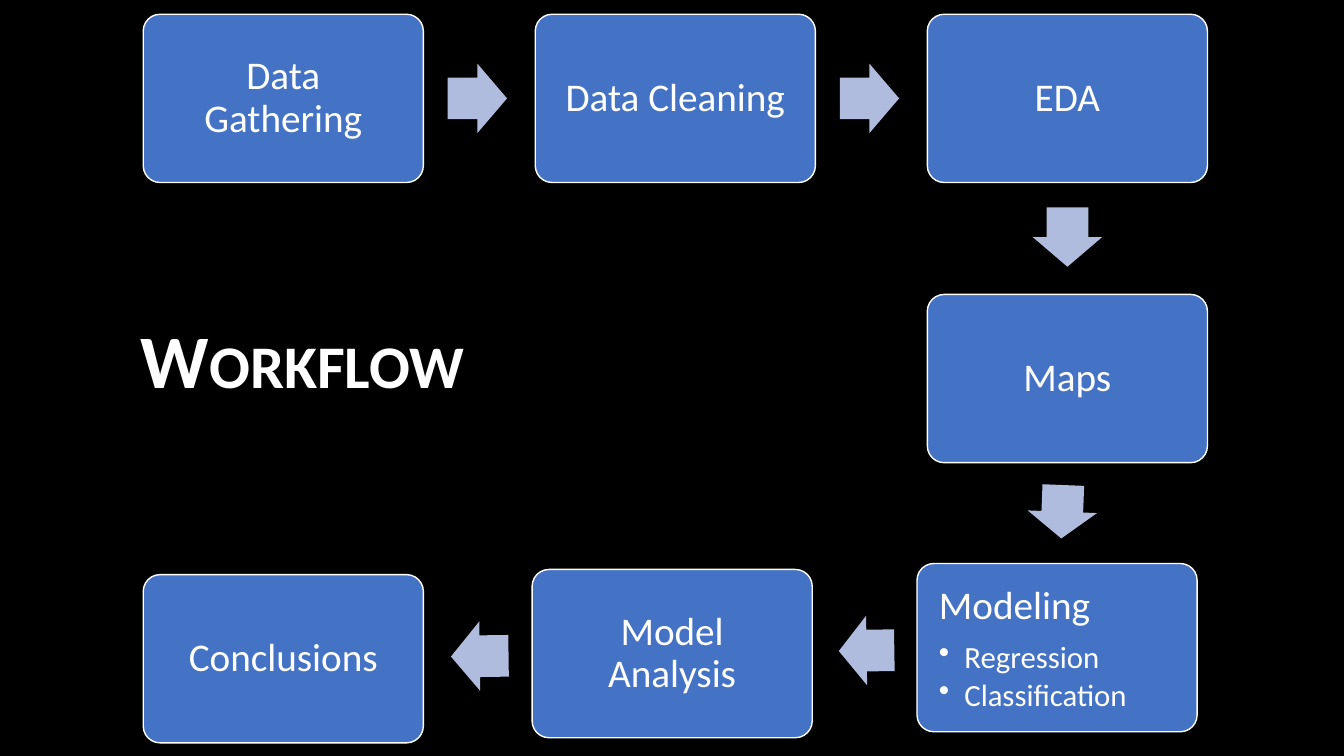
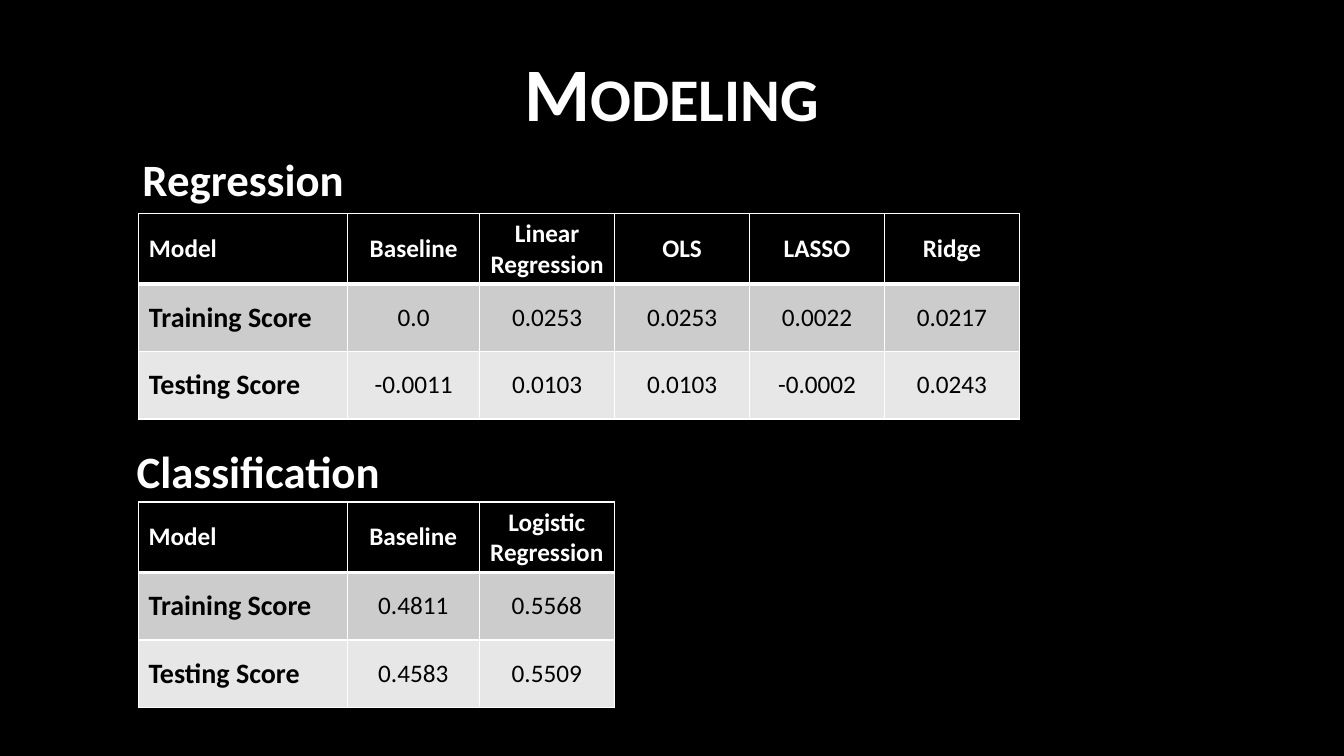
import math

from lxml import etree
from pptx import Presentation
from pptx import util as u
from pptx.dml import color
from pptx.enum import shapes, text
from pptx.oxml import ns

FONT = "Calibri"
BLACK, WHITE = "000000", "FFFFFF"
BOX_BLUE, ARROW_BLUE = "4472C4", "B0BCDE"
ROW_FILLS = (BLACK, "CCCCCC", "E7E7E7")

CENTER, LEFT = text.PP_ALIGN.CENTER, text.PP_ALIGN.LEFT
MIDDLE, TOP, BOTTOM = (text.MSO_ANCHOR.MIDDLE, text.MSO_ANCHOR.TOP,
                       text.MSO_ANCHOR.BOTTOM)

TITLE = {"size": u.Pt(54), "bold": True}
HEADING = {"size": u.Pt(32), "bold": True}
STEP = {"size": u.Pt(28)}
DETAIL = {"size": u.Pt(22)}
HEADER_CELL = {"size": u.Pt(18), "bold": True}
LABEL_CELL = {"size": u.Pt(20), "bold": True}
VALUE_CELL = {"size": u.Pt(18), "bold": False}

BOX_WIDTH, BOX_HEIGHT, BOX_INSET = 7.06, 4.24, 0.43
COLUMN_X = [3.61 + 9.88 * column for column in range(3)]
ROW_Y = [0.36 + 7.06 * row for row in range(3)]
ARROW_HEIGHT, ARROW_SHARE = 1.75, 0.53
BULLET_INDENT = 0.64

LABEL_WIDTH, BASELINE_WIDTH, MODEL_WIDTH = 5.26, 3.33, 3.4
ROW_HEIGHT = 1.7

WORKFLOW = [
    ("Data Gathering", COLUMN_X[0], ROW_Y[0], []),
    ("Data Cleaning", COLUMN_X[1], ROW_Y[0], []),
    ("EDA", COLUMN_X[2], ROW_Y[0], []),
    ("Maps", COLUMN_X[2], ROW_Y[1], []),
    ("Modeling", 23.11, 14.2, ["Regression", "Classification"]),
    ("Model Analysis", 13.41, 14.35, []),
    ("Conclusions", COLUMN_X[0], ROW_Y[2], []),
]

REGRESSION_SCORES = [
    ["Model", "Baseline", "Linear Regression", "OLS", "LASSO", "Ridge"],
    ["Training Score", "0.0", "0.0253", "0.0253", "0.0022", "0.0217"],
    ["Testing Score", "-0.0011", "0.0103", "0.0103", "-0.0002", "0.0243"],
]
CLASSIFICATION_SCORES = [
    ["Model", "Baseline", "Logistic Regression"],
    ["Training Score", "0.4811", "0.5568"],
    ["Testing Score", "0.4583", "0.5509"],
]


def rgb(value):
    return color.RGBColor.from_string(value)


def set_fill(target, value):
    target.fill.solid()
    target.fill.fore_color.rgb = rgb(value)


def set_all(target, values):
    for name, value in values.items():
        setattr(target, name, value)


def add_slide(deck):
    page = deck.slides.add_slide(deck.slide_layouts[6])
    set_fill(page.background, BLACK)
    return page


def write(para, words, style, font_color=WHITE, **layout):
    """Put one run into a paragraph, with its font and paragraph format."""
    set_all(para, layout)
    span = para.add_run()
    span.text = words
    set_all(span.font, {"name": FONT, **style})
    span.font.color.rgb = rgb(font_color)
    return span


def add_heading(page, words, left, top, width, height, style, align):
    box = page.shapes.add_textbox(*map(u.Cm, (left, top, width, height)))
    set_all(box.text_frame, {"word_wrap": True, "vertical_anchor": BOTTOM})
    return write(box.text_frame.paragraphs[0], words, style,
                 alignment=align, line_spacing=0.9)


def add_title(page, words, left, top, align):
    span = add_heading(page, words, left, top, 13.08, 3.4, TITLE, align)
    span._r.get_or_add_rPr().set("cap", "small")


def add_bullet(para):
    properties = para._p.get_or_add_pPr()
    indent = u.Cm(BULLET_INDENT)
    properties.set("marL", str(indent))
    properties.set("indent", str(-indent))
    etree.SubElement(properties, ns.qn("a:buChar")).set("char", "•")


def add_step(page, name, left, top, details):
    box = page.shapes.add_shape(
        shapes.MSO_SHAPE.ROUNDED_RECTANGLE,
        *map(u.Cm, (left, top, BOX_WIDTH, BOX_HEIGHT)))
    box.adjustments[0] = 0.1
    box.shadow.inherit = False
    set_fill(box, BOX_BLUE)
    box.line.color.rgb = rgb(WHITE)
    box.line.width = u.Pt(1)

    frame = box.text_frame
    sides = ("left", "top", "right", "bottom")
    set_all(frame, {f"margin_{side}": u.Cm(BOX_INSET) for side in sides})
    set_all(frame, {"word_wrap": True,
                    "vertical_anchor": TOP if details else MIDDLE})
    write(frame.paragraphs[0], name, STEP,
          alignment=LEFT if details else CENTER,
          line_spacing=0.9, space_after=u.Pt(10))
    for detail in details:
        para = frame.add_paragraph()
        add_bullet(para)
        write(para, detail, DETAIL, alignment=LEFT,
              line_spacing=0.9, space_after=u.Pt(3.3))


def add_step_arrow(page, start, end):
    """Place a block arrow in the gap between two steps, turned to the next."""
    (_, start_x, start_y, _), (_, end_x, end_y, _) = start, end
    across, down = end_x - start_x, end_y - start_y
    gap = max(abs(across) - BOX_WIDTH, abs(down) - BOX_HEIGHT)
    length = ARROW_SHARE * gap
    center_x = start_x + BOX_WIDTH / 2 + 0.495 * across
    center_y = start_y + BOX_HEIGHT / 2 + 0.495 * down
    arrow = page.shapes.add_shape(
        shapes.MSO_SHAPE.RIGHT_ARROW,
        *map(u.Cm, (center_x - length / 2, center_y - ARROW_HEIGHT / 2,
                    length, ARROW_HEIGHT)))
    arrow.adjustments[0], arrow.adjustments[1] = 0.6, 0.5
    arrow.rotation = math.degrees(math.atan2(down, across))
    arrow.shadow.inherit = False
    set_fill(arrow, ARROW_BLUE)
    arrow.line.fill.background()


def set_borders(cell, widths):
    properties = cell._tc.get_or_add_tcPr()
    for side, width in widths.items():
        line = etree.SubElement(properties, ns.qn(f"a:ln{side}"))
        line.set("w", str(u.Pt(width)))
        fill = etree.SubElement(line, ns.qn("a:solidFill"))
        etree.SubElement(fill, ns.qn("a:srgbClr")).set("val", WHITE)


def add_score_table(page, scores, left, top):
    widths = [LABEL_WIDTH, BASELINE_WIDTH]
    widths += [MODEL_WIDTH] * (len(scores[0]) - len(widths))
    table = page.shapes.add_table(
        len(scores), len(widths),
        *map(u.Cm, (left, top, sum(widths), ROW_HEIGHT * len(scores)))).table
    for column, width in zip(table.columns, widths):
        column.width = u.Cm(width)
    for row, values in enumerate(scores):
        table.rows[row].height = u.Cm(ROW_HEIGHT)
        for column, value in enumerate(values):
            cell = table.cell(row, column)
            set_borders(cell, {"L": 1, "R": 1, "T": 3 if row == 1 else 1,
                               "B": 3 if row == 0 else 1})
            set_fill(cell, ROW_FILLS[row])
            cell.vertical_anchor = MIDDLE
            body_style = VALUE_CELL if column else LABEL_CELL
            write(cell.text_frame.paragraphs[0], value,
                  body_style if row else HEADER_CELL,
                  BLACK if row else WHITE,
                  alignment=CENTER if column else LEFT)


def build_workflow(deck):
    page = add_slide(deck)
    for step in WORKFLOW:
        add_step(page, *step)
    for start, end in zip(WORKFLOW, WORKFLOW[1:]):
        add_step_arrow(page, start, end)
    add_title(page, "Workflow", 3.3, 6.93, LEFT)


def build_modeling(deck):
    page = add_slide(deck)
    add_title(page, "Modeling", 10.39, 0.2, CENTER)
    add_heading(page, "Regression", 2.13, 3.53, 8, 1.8, HEADING, CENTER)
    add_score_table(page, REGRESSION_SCORES, 3.5, 5.38)
    add_heading(page, "Classification", 2.51, 10.87, 8, 1.8, HEADING, CENTER)
    add_score_table(page, CLASSIFICATION_SCORES, 3.49, 12.65)


def main():
    deck = Presentation()
    deck.slide_width, deck.slide_height = u.Cm(33.87), u.Cm(19.05)
    build_workflow(deck)
    build_modeling(deck)
    deck.save("out.pptx")


if __name__ == "__main__":
    main()
